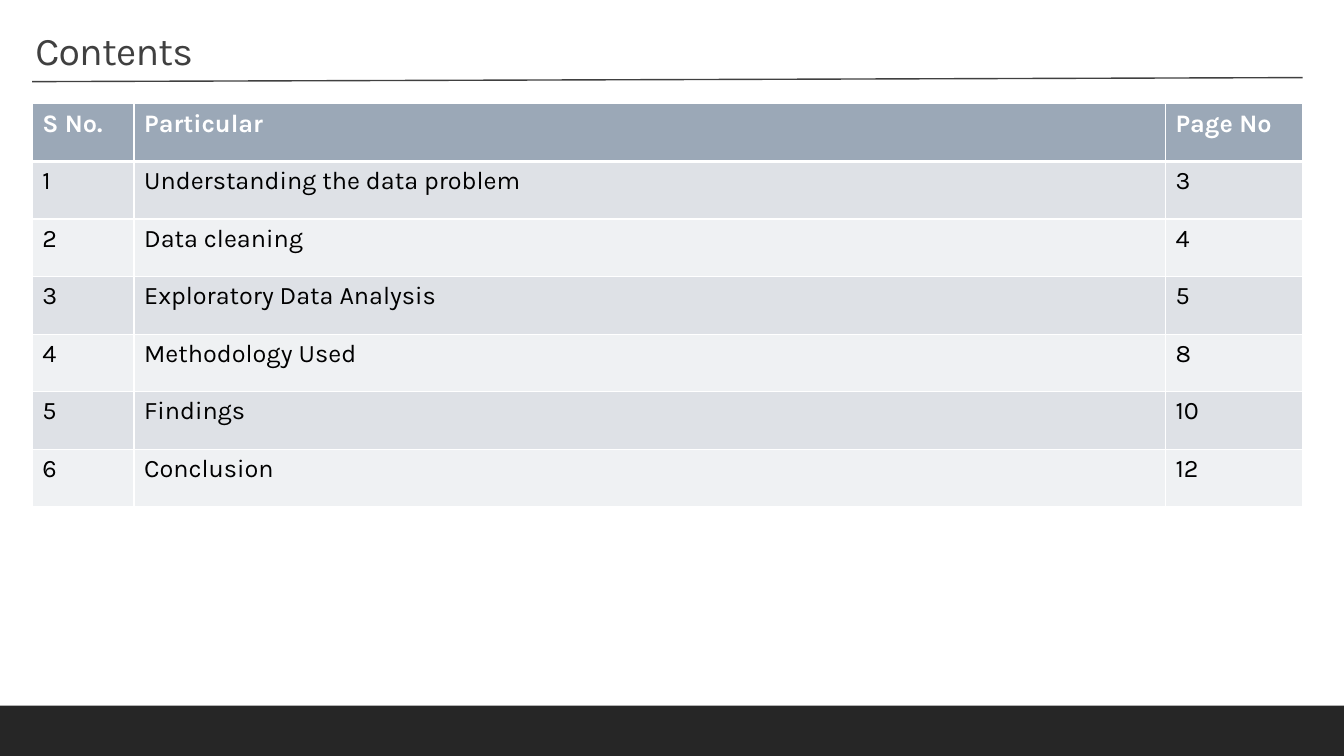
from dataclasses import dataclass

from lxml.etree import SubElement
from pptx import Presentation
from pptx.dml.color import RGBColor
from pptx.enum.shapes import MSO_CONNECTOR, MSO_SHAPE
from pptx.enum.text import MSO_ANCHOR, PP_ALIGN
from pptx.oxml.ns import qn
from pptx.util import Inches, Pt


@dataclass(frozen=True)
class Theme:
    font: str = "Karla"
    title_size: int = 28
    table_size: int = 18
    dark: str = "404040"
    footer: str = "262626"
    text: str = "000000"
    white: str = "FFFFFF"
    header: str = "9BA8B7"
    bands: tuple = ("DEE1E6", "EFF1F3")


THEME = Theme()
COLUMN_WIDTHS = (1.01, 10.23, 1.36)
ROWS = (
    ("S No.", "Particular", "Page No"),
    ("1", "Understanding the data problem", "3"),
    ("2", "Data cleaning", "4"),
    ("3", "Exploratory Data Analysis", "5"),
    ("4", "Methodology Used", "8"),
    ("5", "Findings", "10"),
    ("6", "Conclusion", "12"),
)


def style_font(font, size, color, bold=False):
    font.name = THEME.font
    font.size = Pt(size)
    font.bold = bold
    font.color.rgb = RGBColor.from_string(color)


def add_footer_band(slide, left, top, width, height):
    band = slide.shapes.add_shape(
        MSO_SHAPE.RECTANGLE, Inches(left), Inches(top), Inches(width), Inches(height)
    )
    band.shadow.inherit = False
    band.fill.solid()
    band.fill.fore_color.rgb = RGBColor.from_string(THEME.footer)
    band.line.fill.background()


def place_title(slide, text, left, top, width, height):
    title = slide.shapes.title
    title.left, title.top = Inches(left), Inches(top)
    title.width, title.height = Inches(width), Inches(height)
    frame = title.text_frame
    frame.text = text
    frame.word_wrap = True
    frame.vertical_anchor = MSO_ANCHOR.MIDDLE
    paragraph = frame.paragraphs[0]
    paragraph.alignment = PP_ALIGN.LEFT
    paragraph.line_spacing = 0.9
    style_font(paragraph.font, THEME.title_size, THEME.dark)
    paragraph.runs[0].font._element.set("spc", "-50")


def add_title_rule(slide, left, top, width, rise):
    rule = slide.shapes.add_connector(
        MSO_CONNECTOR.STRAIGHT,
        Inches(left), Inches(top), Inches(left + width), Inches(top - rise),
    )
    rule.line.color.rgb = RGBColor.from_string(THEME.dark)
    rule.line.width = Pt(1)
    SubElement(rule._element.spPr, qn("a:effectLst"))


def set_borders(cell, top_width, bottom_width):
    properties = cell._tc.get_or_add_tcPr()
    widths = {"lnL": 1, "lnR": 1, "lnT": top_width, "lnB": bottom_width}
    for side, width in widths.items():
        line = SubElement(properties, qn(f"a:{side}"), w=str(Pt(width)))
        fill = SubElement(line, qn("a:solidFill"))
        SubElement(fill, qn("a:srgbClr"), val=THEME.white)


def add_contents_table(slide, left, top, width, height):
    table = slide.shapes.add_table(
        len(ROWS), len(COLUMN_WIDTHS),
        Inches(left), Inches(top), Inches(width), Inches(height),
    ).table
    for column, column_width in zip(table.columns, COLUMN_WIDTHS):
        column.width = Inches(column_width)
    for row_index, row in enumerate(ROWS):
        is_header = row_index == 0
        fill = THEME.header if is_header else THEME.bands[(row_index - 1) % 2]
        color = THEME.white if is_header else THEME.text
        for column_index, text in enumerate(row):
            cell = table.cell(row_index, column_index)
            set_borders(cell, 3 if row_index == 1 else 1, 3 if is_header else 1)
            cell.fill.solid()
            cell.fill.fore_color.rgb = RGBColor.from_string(fill)
            cell.text = text
            style_font(cell.text_frame.paragraphs[0].font, THEME.table_size, color, is_header)


def build_contents_slide(presentation):
    slide = presentation.slides.add_slide(presentation.slide_layouts[5])
    add_footer_band(slide, 0, 7, 13.33, 0.5)
    place_title(slide, "Contents", 0.25, 0.22, 6.23, 0.6)
    add_title_rule(slide, 0.32, 0.81, 12.6, 0.04)
    add_contents_table(slide, 0.32, 1.03, 12.6, 4)


def main():
    presentation = Presentation()
    presentation.slide_width = Inches(13.33)
    presentation.slide_height = Inches(7.5)
    build_contents_slide(presentation)
    presentation.save("out.pptx")


if __name__ == "__main__":
    main()
